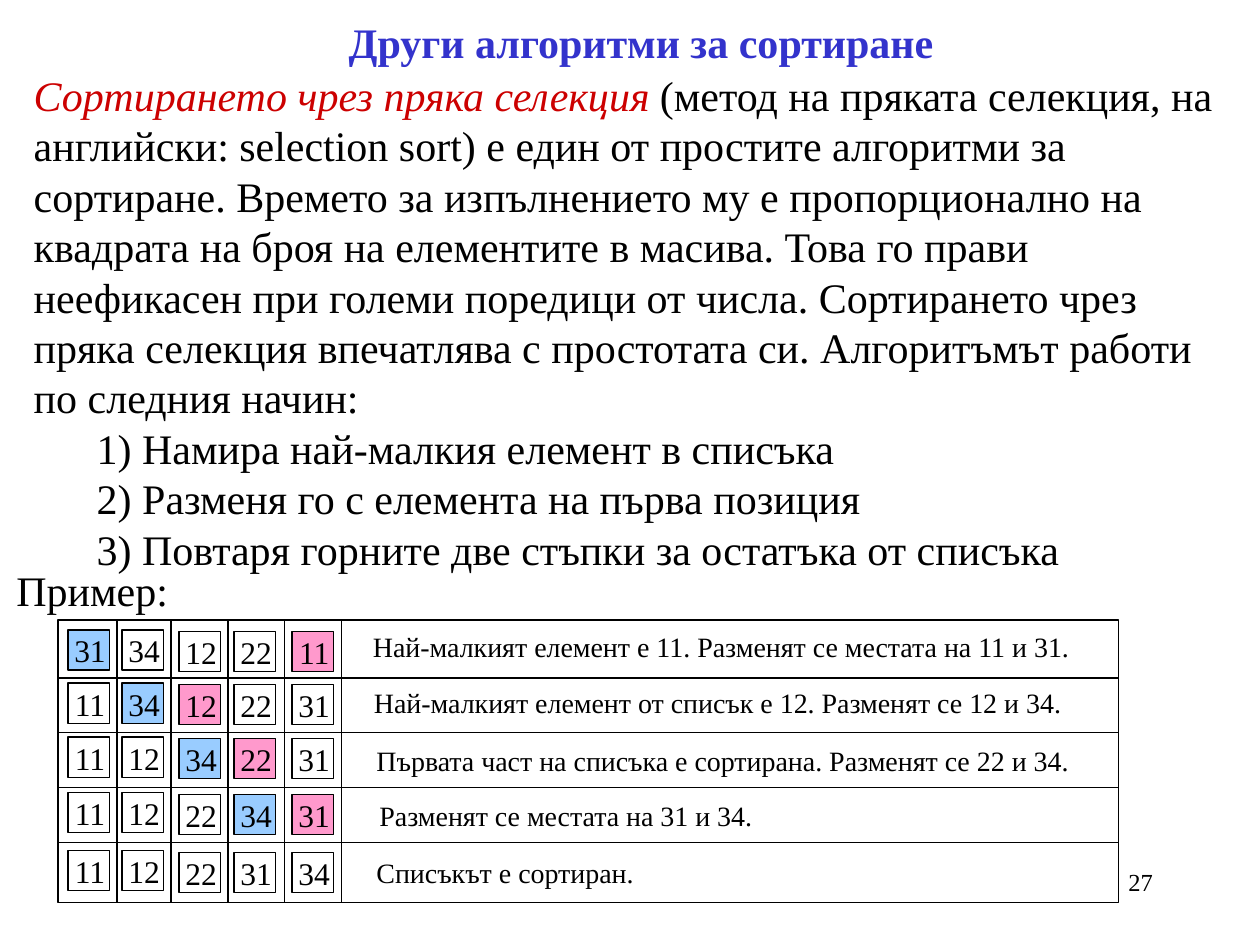
"""Builds the slide that explains selection sort with a worked example."""
from dataclasses import dataclass

from lxml import etree
from pptx import Presentation
from pptx.dml.color import RGBColor
from pptx.enum import shapes, text
from pptx.oxml import ns
from pptx.util import Cm, Pt


@dataclass(frozen=True)
class Theme:
    font: str = "Times New Roman"
    ink: str = "000000"
    title: str = "3333CC"
    term: str = "CC0000"
    plain: str = "FFFFFF"
    current: str = "99CCFF"
    smallest: str = "FF99CC"
    body_size: float = 24
    number_size: float = 18
    comment_size: float = 16
    page_size: float = 14
    line_width: float = 0.75


THEME = Theme()
TERM = "Сортирането чрез пряка селекция"
DESCRIPTION = (
    " (метод на пряката селекция, на английски: selection sort) е един от "
    "простите алгоритми за сортиране. Времето за изпълнението му е "
    "пропорционално на квадрата на броя на елементите в масива. Това го прави "
    "неефикасен при големи поредици от числа. Сортирането чрез пряка селекция "
    "впечатлява с простотата си. Алгоритъмът работи по следния начин:"
)
STEPS = (
    "\t1) Намира най-малкия елемент в списъка",
    "\t2) Разменя го с елемента на първа позиция",
    "\t3) Повтаря горните две стъпки за остатъка от списъка",
)
START = [31, 34, 12, 22, 11]
COMMENTS = (
    (7.52, 12.7, 14.4, "Най-малкият елемент е 11. Разменят се местата на 11 и 31."),
    (7.54, 13.82, 14.81, "Най-малкият елемент от списък е 12. Разменят се 12 и 34."),
    (7.59, 14.99, 14.81, "Първата част на списъка е сортирана. Разменят се 22 и 34."),
    (7.65, 16.1, 13.72, "Разменят се местата на 31 и 34."),
    (7.59, 17.25, 13.72, "Списъкът е сортиран."),
)
LEFT, TOP, RIGHT, BOTTOM = 1.17, 12.5, 22.55, 18.19
ROW_RULES = (13.67, 14.76, 15.88, 16.99)
COLUMN_RULES = (2.36, 3.45, 4.6, 5.74, 6.88)
NUMBER_LEFTS = (1.37, 2.46, 3.61, 4.72, 5.89)
NUMBER_TOPS = (12.7, 13.77, 14.86, 15.98, 17.15)


def style_run(run, size, color=THEME.ink, bold=False, italic=False):
    font = run.font
    font.name, font.size = THEME.font, Pt(size)
    font.bold, font.italic = bold, italic
    font.color.rgb = RGBColor.from_string(color)


def set_insets(frame, left, top, right, bottom):
    frame.margin_left, frame.margin_top = Cm(left), Cm(top)
    frame.margin_right, frame.margin_bottom = Cm(right), Cm(bottom)


def add_label(parent, place, wording, size, color=THEME.ink, bold=False,
              before=0, insets=(0.25, 0.13, 0.25, 0.13)):
    frame = parent.add_textbox(*map(Cm, place)).text_frame
    frame.word_wrap = True
    set_insets(frame, *insets)
    frame.text = wording
    frame.paragraphs[0].space_before = Pt(before)
    for paragraph in frame.paragraphs:
        for run in paragraph.runs:
            style_run(run, size, color, bold)
    return frame


def add_description(parent):
    wording = "\n".join((TERM, *STEPS))
    frame = add_label(parent, (0.43, 1.27, 24.33, 10.41), wording,
                      THEME.body_size, before=15)
    opening = frame.paragraphs[0]
    style_run(opening.runs[0], THEME.body_size, THEME.term, italic=True)
    explanation = opening.add_run()
    explanation.text = DESCRIPTION
    style_run(explanation, THEME.body_size)


def outline(line):
    line.color.rgb = RGBColor.from_string(THEME.ink)
    line.width = Pt(THEME.line_width)


def add_rule(parent, *ends):
    rule = parent.add_connector(shapes.MSO_CONNECTOR.STRAIGHT, *map(Cm, ends))
    outline(rule.line)
    etree.SubElement(rule._element.spPr, ns.qn("a:effectLst"))


def add_rectangle(parent, place, fill=None):
    rectangle = parent.add_shape(shapes.MSO_SHAPE.RECTANGLE, *map(Cm, place))
    rectangle.shadow.inherit = False
    outline(rectangle.line)
    if fill:
        rectangle.fill.solid()
        rectangle.fill.fore_color.rgb = RGBColor.from_string(fill)
    else:
        rectangle.fill.background()
    return rectangle


def add_number(parent, left, top, number, fill):
    frame = add_rectangle(parent, (left, top, 0.84, 0.81), fill).text_frame
    set_insets(frame, 0.1, 0.03, 0.05, 0.03)
    frame.vertical_anchor = text.MSO_ANCHOR.TOP
    frame.text = str(number)
    paragraph = frame.paragraphs[0]
    paragraph.alignment = text.PP_ALIGN.CENTER
    paragraph.space_before = Pt(11.2)
    style_run(paragraph.runs[0], THEME.number_size)


def add_grid(parent):
    add_rectangle(parent, (LEFT, TOP, RIGHT - LEFT, BOTTOM - TOP))
    for y in ROW_RULES:
        add_rule(parent, LEFT, y, RIGHT, y)
    for x in COLUMN_RULES:
        add_rule(parent, x, TOP, x, BOTTOM)


def add_sorting_passes(parent):
    numbers = list(START)
    for step, top in enumerate(NUMBER_TOPS):
        smallest = numbers.index(min(numbers[step:]))
        fills = [THEME.plain] * len(numbers)
        if smallest != step:
            fills[step], fills[smallest] = THEME.current, THEME.smallest
        for column, left in enumerate(NUMBER_LEFTS):
            drop = 0.03 if column > 1 else 0
            add_number(parent, left, top + drop, numbers[column], fills[column])
        numbers[step], numbers[smallest] = numbers[smallest], numbers[step]


def add_example(slide):
    example = slide.shapes.add_group_shape().shapes
    add_label(example, (0.08, 11.25, 4.01, 1.27), "Пример:",
              THEME.body_size, before=15)
    add_grid(example)
    add_sorting_passes(example)
    for left, top, width, comment in COMMENTS:
        add_label(example, (left, top, width, 0.69), comment,
                  THEME.comment_size, before=10, insets=(0, 0, 0, 0))


def main():
    deck = Presentation()
    deck.slide_width, deck.slide_height = Cm(25.4), Cm(19.05)
    slide = deck.slides.add_slide(deck.slide_layouts[6])
    add_label(slide.shapes, (6.78, 0.2, 12.7, 1.27), "Други алгоритми за сортиране",
              THEME.body_size, THEME.title, bold=True, before=15)
    add_description(slide.shapes)
    add_example(slide)
    page = add_label(slide.shapes, (18.21, 17.35, 5.28, 1.27), "27", THEME.page_size)
    page.paragraphs[0].alignment = text.PP_ALIGN.RIGHT
    deck.save("out.pptx")


if __name__ == "__main__":
    main()
